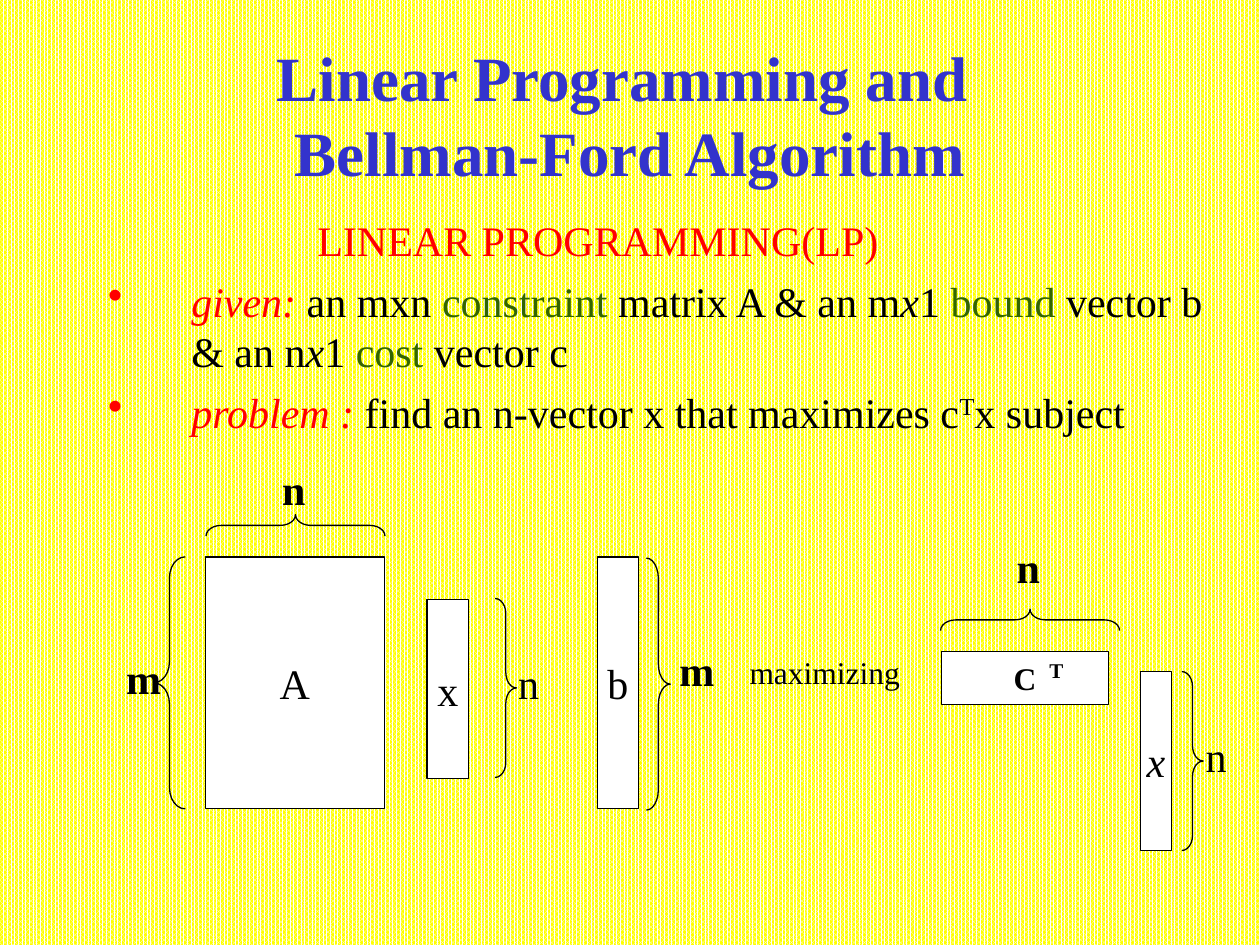
from lxml import etree
from pptx import Presentation
from pptx import util as u
from pptx.dml.color import RGBColor
from pptx.enum import dml, shapes, text
from pptx.oxml import ns

BLACK, WHITE, RED, GREEN = "000000", "FFFFFF", "FF0000", "336600"
BODY = {"name": "Times New Roman", "size": u.Pt(24)}
BOLD = BODY | {"bold": True}
ITALIC = BODY | {"italic": True}
FRAME = {"margin_left": u.Inches(0.1), "margin_right": u.Inches(0.1),
         "margin_top": u.Inches(0.05), "margin_bottom": u.Inches(0.05)}
CENTERED = {"alignment": text.PP_ALIGN.CENTER}
LEFT_BRACE = shapes.MSO_SHAPE.LEFT_BRACE
RIGHT_BRACE = shapes.MSO_SHAPE.RIGHT_BRACE


def rgb(value):
    """Turn a hex string into a colour."""
    return RGBColor.from_string(value)


def apply(target, formats):
    """Set every attribute in a dict of format values."""
    for name, value in formats.items():
        setattr(target, name, value)


def inches(box, part):
    """Return the lengths of a part placed relative to a box."""
    left, top, width, height = part
    return [u.Inches(n) for n in (box[0] + left, box[1] + top, width, height)]


def add_run(paragraph, words, font=BODY, color=BLACK):
    """Add a run in the given font and colour."""
    run = paragraph.add_run()
    run.text = words
    apply(run.font, font)
    run.font.color.rgb = rgb(color)
    return run


def outline(shape):
    """Give a shape a thin black line and no shadow."""
    shape.shadow.inherit = False
    shape.line.color.rgb = rgb(BLACK)
    shape.line.width = u.Pt(0.75)


def write(shape, words, font, before, wrap=False):
    """Write one centred paragraph in a shape."""
    apply(shape.text_frame, FRAME | {"word_wrap": wrap})
    paragraph = shape.text_frame.paragraphs[0]
    apply(paragraph, CENTERED | {"space_before": u.Pt(before)})
    add_run(paragraph, words, font)


def add_label(slide, box, part, words, font=BODY, before=6):
    """Add a centred text label."""
    write(slide.shapes.add_textbox(*inches(box, part)), words, font, before)


def add_matrix(slide, box, part, words, font=BODY, before=6):
    """Add a white rectangle that stands for a matrix or vector."""
    matrix = slide.shapes.add_shape(shapes.MSO_SHAPE.RECTANGLE, *inches(box, part))
    outline(matrix)
    matrix.fill.solid()
    matrix.fill.fore_color.rgb = rgb(WHITE)
    matrix.text_frame.vertical_anchor = text.MSO_ANCHOR.MIDDLE
    write(matrix, words, font, before)


def add_brace(slide, box, part, kind, curve=0.708, rotation=0):
    """Add a curly brace that marks a dimension."""
    brace = slide.shapes.add_shape(kind, *inches(box, part))
    outline(brace)
    brace.fill.background()
    brace.adjustments[0] = curve
    brace.rotation = rotation


def add_bullet(paragraph):
    """Give a paragraph a red round bullet."""
    properties = paragraph._p.get_or_add_pPr()
    color = etree.SubElement(properties, ns.qn("a:buClr"))
    etree.SubElement(color, ns.qn("a:srgbClr")).set("val", RED)
    etree.SubElement(properties, ns.qn("a:buChar")).set("char", "•")


def draw_background(slide):
    """Fill the background with a yellow and white pattern."""
    fill = slide.background.fill
    fill.patterned()
    fill.pattern = dml.MSO_PATTERN.PERCENT_80
    fill.fore_color.rgb = rgb(WHITE)
    fill.back_color.rgb = rgb("FFFF00")


def draw_title(slide, box):
    """Write the two-line title."""
    frame = slide.shapes.add_textbox(*inches(box, (0, 0, *box[2:]))).text_frame
    apply(frame, FRAME | {"word_wrap": True, "vertical_anchor": text.MSO_ANCHOR.MIDDLE})
    title = frame.paragraphs[0]
    apply(title, CENTERED)
    font = BOLD | {"size": u.Pt(36)}
    add_run(title, "Linear Programming and ", font, "3333CC")
    title.add_line_break()
    add_run(title, "Bellman-Ford Algorithm", font, "3333CC")


def draw_statement(slide, box):
    """Write the heading and the bulleted problem statement."""
    heading = [("LINEAR PROGRAMMING(LP)", BODY, RED)]
    given = [("given:", ITALIC, RED), (" an mxn ",), ("constraint ", BODY, GREEN),
             ("matrix A & an m",), ("x", ITALIC), ("1 ",), ("bound", BODY, GREEN),
             (" vector b & an n",), ("x", ITALIC), ("1 ",), ("cost ", BODY, GREEN),
             ("vector c",)]
    problem = [("problem :", ITALIC, RED), (" find an n-vector x that maximizes c",),
               ("T",), ("x subject",)]
    frame = slide.shapes.add_textbox(*inches(box, (0, 0, *box[2:]))).text_frame
    apply(frame, FRAME | {"word_wrap": True})
    rows = [(heading, 1.67, 0), (given, 0.67, -0.66), (problem, 0.67, -0.66)]
    for index, (parts, margin, indent) in enumerate(rows):
        paragraph = frame.add_paragraph() if index else frame.paragraphs[0]
        paragraph.space_before = u.Pt(6)
        properties = paragraph._p.get_or_add_pPr()
        properties.set("marL", str(u.Inches(margin)))
        properties.set("indent", str(u.Inches(indent)))
        if indent:
            add_bullet(paragraph)
        for part in parts:
            run = add_run(paragraph, *part)
            if part[0] == "T":
                run._r.get_or_add_rPr().set("baseline", "30000")


def draw_constraint(slide, box):
    """Draw matrix A with the vectors x and b and their dimensions."""
    add_matrix(slide, box, (0.73, 0.79, 1.42, 2), "A")
    add_matrix(slide, box, (2.49, 1.13, 0.33, 1.42), "x")
    add_matrix(slide, box, (3.84, 0.79, 0.33, 2), "b")
    add_brace(slide, box, (1.36, -0.17, 0.17, 1.42), LEFT_BRACE, rotation=90)
    add_brace(slide, box, (0.32, 0.79, 0.25, 2), LEFT_BRACE, 0.667)
    add_brace(slide, box, (3.03, 1.12, 0.17, 1.42), RIGHT_BRACE)
    add_brace(slide, box, (4.23, 0.8, 0.19, 2), RIGHT_BRACE, 0.857)
    add_label(slide, box, (1.24, 0, 0.38, 0.5), "n", BOLD)
    add_label(slide, box, (0, 1.5, 0.48, 0.5), "m", BOLD)
    add_label(slide, box, (3.03, 1.54, 0.53, 0.5), "n")
    add_label(slide, box, (4.39, 1.44, 0.48, 0.5), "m", BOLD)


def draw_objective(slide, box):
    """Draw the product of the cost and solution vectors to maximize."""
    frame = slide.shapes.add_textbox(*inches(box, (0, 0.88, 1.85, 0.4))).text_frame
    frame.word_wrap = True
    add_run(frame.paragraphs[0], "maximizing", BODY | {"size": u.Pt(18)})
    add_matrix(slide, box, (1.62, 0.92, 1.33, 0.42), "C", BOLD | {"size": u.Pt(18)}, 4.5)
    add_label(slide, box, (2.37, 0.92, 0.33, 0.3), "T", BOLD | {"size": u.Pt(12)}, 3)
    add_matrix(slide, box, (3.2, 1.08, 0.25, 1.42), "x", ITALIC)
    add_brace(slide, box, (2.24, -0.04, 0.17, 1.42), LEFT_BRACE, rotation=90)
    add_brace(slide, box, (3.53, 1.08, 0.17, 1.42), RIGHT_BRACE)
    add_label(slide, box, (2.12, 0, 0.38, 0.5), "n", BOLD)
    add_label(slide, box, (3.62, 1.5, 0.36, 0.5), "n")


def main():
    """Build the slide and save it."""
    deck = Presentation()
    apply(deck, {"slide_width": u.Inches(10), "slide_height": u.Inches(7.5)})
    slide = deck.slides.add_slide(deck.slide_layouts[6])
    draw_background(slide)
    draw_title(slide, (1.46, 0.24, 7.08, 1.33))
    draw_statement(slide, (0.75, 1.65, 8.92, 2.02))
    draw_constraint(slide, (0.9, 3.63))
    draw_objective(slide, (5.85, 4.25))
    deck.save("out.pptx")


if __name__ == "__main__":
    main()
